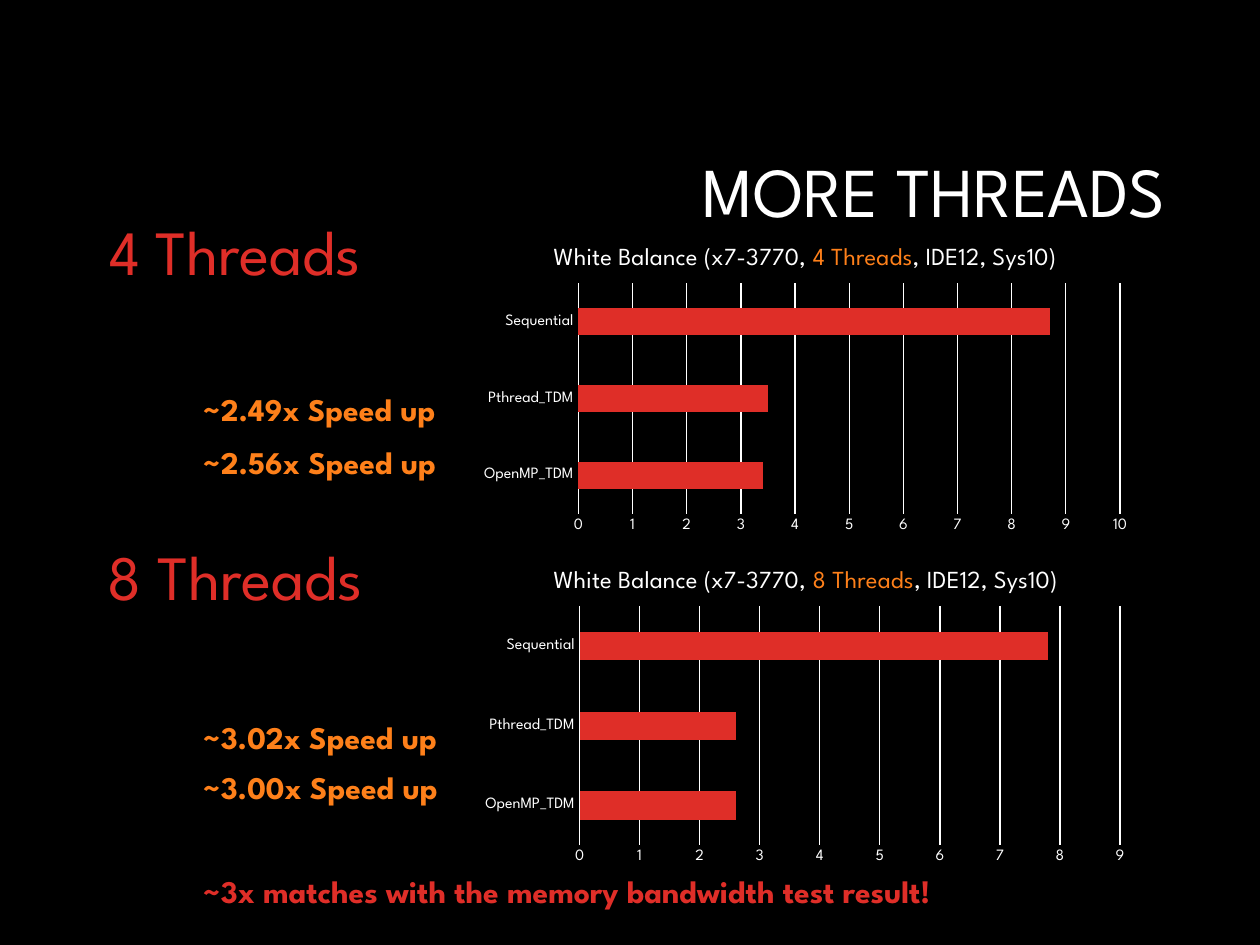
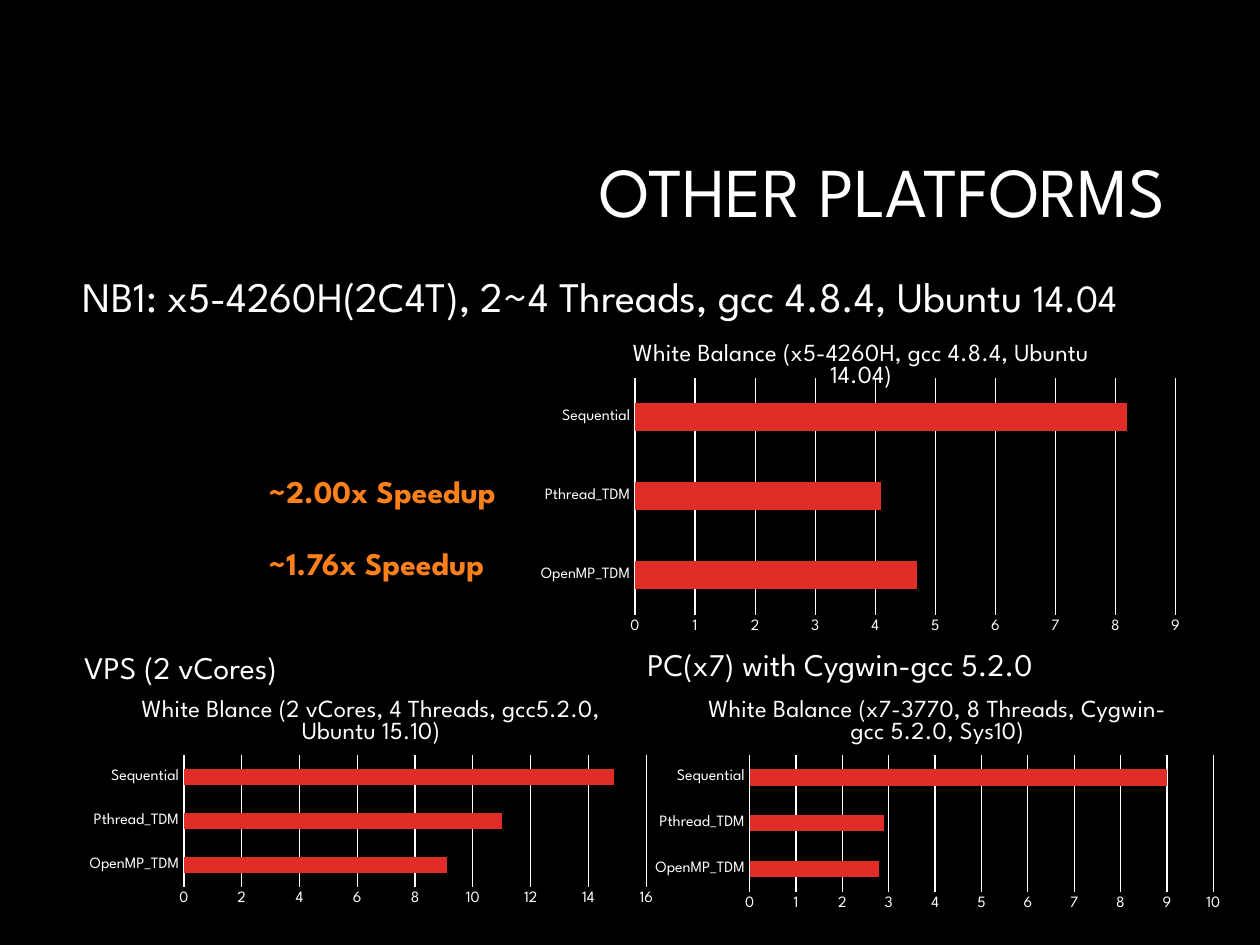
from lxml import etree
from pptx import Presentation
from pptx.chart.data import CategoryChartData
from pptx.dml.color import RGBColor
from pptx.enum.chart import XL_CHART_TYPE as ChartType, XL_TICK_MARK as TickMark
from pptx.enum.text import MSO_ANCHOR as Anchor, PP_ALIGN as Align
from pptx.oxml.ns import qn
from pptx.util import Inches, Pt

FONT = "League Spartan"
BLACK, WHITE, RED, ORANGE = "000000", "FFFFFF", "DF2E28", "FE801A"
CATEGORIES = ["OpenMP_TDM", "Pthread_TDM", "Sequential"]
HEADING = {"size": 36, "color": RED}
SPEEDUP = {"size": 18, "color": ORANGE, "bold": True}
CONCLUSION = {**SPEEDUP, "color": RED}
PLATFORM = {"size": 18}
CHART_TITLE = {"size": 14}


def rgb(color):
    return RGBColor.from_string(color)


def style_font(font, size, color=WHITE, bold=False):
    for name, value in {"name": FONT, "size": Pt(size), "bold": bold}.items():
        setattr(font, name, value)
    font.color.rgb = rgb(color)


def add_runs(paragraph, runs):
    """Append (text, font format) pairs to a paragraph."""
    for text, font_format in runs:
        run = paragraph.add_run()
        run.text = text
        style_font(run.font, **font_format)


def add_titled_slide(presentation, title):
    slide = presentation.slides.add_slide(presentation.slide_layouts[5])
    shape = slide.shapes.title
    box = {"left": 2.38, "top": 0.84, "width": 6.97, "height": 1.41}
    for name, value in box.items():
        setattr(shape, name, Inches(value))
    shape.text_frame.vertical_anchor = Anchor.MIDDLE
    paragraph = shape.text_frame.paragraphs[0]
    paragraph.alignment = Align.RIGHT
    paragraph.line_spacing = 0.9
    add_runs(paragraph, [(title, {"size": 40})])
    return slide


def add_label(slide, box, runs, alignment=Align.LEFT):
    shape = slide.shapes.add_textbox(*map(Inches, box))
    shape.text_frame.word_wrap = False
    paragraph = shape.text_frame.paragraphs[0]
    paragraph.alignment = alignment
    add_runs(paragraph, runs)


def fix_plot_area(chart, width, height, top):
    """Keep the same margins, in inches, around the bars of every chart."""
    left, right, bottom = 0.85, 0.15, 0.21
    plot_area = chart.element.find(".//" + qn("c:plotArea"))
    layout = plot_area.find(qn("c:layout"))
    if layout is None:
        layout = etree.Element(qn("c:layout"))
        plot_area.insert(0, layout)
    manual = etree.SubElement(layout, qn("c:manualLayout"))
    settings = {
        "layoutTarget": "inner", "xMode": "edge", "yMode": "edge",
        "x": left / width, "y": top / height,
        "w": (width - left - right) / width,
        "h": (height - top - bottom) / height,
    }
    for name, value in settings.items():
        etree.SubElement(manual, qn("c:" + name)).set("val", str(value))


def add_timing_chart(slide, box, title_runs, values, maximum, unit=1, plot_top=0.43):
    data = CategoryChartData(number_format="General")
    data.categories = CATEGORIES
    data.add_series("Series 1", values)
    frame = slide.shapes.add_chart(ChartType.BAR_CLUSTERED, *map(Inches, box), data)
    chart = frame.chart
    style_font(chart.font, 10)
    chart.has_legend = False
    chart.has_title = True
    chart.chart_title.include_in_layout = False
    add_runs(chart.chart_title.text_frame.paragraphs[0], title_runs)

    plot = chart.plots[0]
    plot.gap_width = 182
    plot.vary_by_categories = False
    fill = plot.series[0].format.fill
    fill.solid()
    fill.fore_color.rgb = rgb(RED)

    category_axis, value_axis = chart.category_axis, chart.value_axis
    for axis in (category_axis, value_axis):
        axis.major_tick_mark = axis.minor_tick_mark = TickMark.NONE
        style_font(axis.tick_labels.font, 9)
    scale = {"minimum_scale": 0, "maximum_scale": maximum, "major_unit": unit,
             "has_major_gridlines": True}
    for name, value in scale.items():
        setattr(value_axis, name, value)
    value_axis.format.line.fill.background()
    for line in (category_axis.format.line, value_axis.major_gridlines.format.line):
        line.color.rgb = rgb(WHITE)
        line.width = Pt(0.75)
    fix_plot_area(chart, box[2], box[3], plot_top)


def add_more_threads(presentation):
    slide = add_titled_slide(presentation, "MORE THREADS")
    tests = [
        ("4 Threads", 1.64, (3.74, 1.82, 5.3, 2.47), [3.4, 3.5, 8.7], 10,
         [("~2.49x", 3.05), ("~2.56x", 3.47)]),
        ("8 Threads", 4.22, (3.75, 4.38, 5.29, 2.54), [2.6, 2.6, 7.8], 9,
         [("~3.02x", 5.65), ("~3.00x", 6.05)]),
    ]
    for threads, top, chart_box, values, maximum, speedups in tests:
        add_label(slide, (0.61, top, 2.51, 0.71), [(threads, HEADING)], Align.CENTER)
        title_runs = [("White Balance (x7-3770, ", CHART_TITLE),
                      (threads, {**CHART_TITLE, "color": ORANGE}),
                      (", IDE12, Sys10)", CHART_TITLE)]
        add_timing_chart(slide, chart_box, title_runs, values, maximum)
        for factor, speedup_top in speedups:
            add_label(slide, (1.51, speedup_top, 2.24, 0.4),
                      [(factor + " Speed up", SPEEDUP)])
    add_label(slide, (1.51, 6.87, 6.58, 0.4),
              [("~3x matches with the memory bandwidth test result!", CONCLUSION)])


def add_other_platforms(presentation):
    slide = add_titled_slide(presentation, "OTHER PLATFORMS")
    add_label(slide, (0.56, 2.1, 9.42, 0.5), [
        ("NB1: x5-4260H(2C4T), 2~4 Threads, gcc 4.8.4, Ubuntu ", {"size": 24}),
        ("14.04", {"size": 22})])
    add_timing_chart(
        slide, (4.19, 2.57, 5.29, 2.52),
        [("White Balance (x5-4260H, gcc 4.8.4, Ubuntu 14.04)", CHART_TITLE)],
        [4.7, 4.1, 8.2], 9)
    for factor, top in [("~2.00x", 3.7), ("~1.76x", 4.27)]:
        add_label(slide, (2.03, top, 2.16, 0.4), [(factor + " Speedup", SPEEDUP)])

    platforms = [
        ("VPS (2 vCores)", (0.57, 5.09, 1.97, 0.4), (0.61, 5.41, 4.67, 1.84),
         "White Blance (2 vCores, 4 Threads, gcc5.2.0, Ubuntu 15.10)",
         [9.1, 11, 14.9], 16, 2),
        ("PC(x7) with Cygwin-gcc 5.2.0", (5.04, 5.07, 3.78, 0.4),
         (5.1, 5.41, 4.68, 1.88),
         "White Balance (x7-3770, 8 Threads, Cygwin-gcc 5.2.0, Sys10)",
         [2.8, 2.9, 9], 10, 1),
    ]
    for name, label_box, chart_box, title, values, maximum, unit in platforms:
        add_timing_chart(slide, chart_box, [(title, CHART_TITLE)], values,
                         maximum, unit, plot_top=0.58)
        add_label(slide, label_box, [(name, PLATFORM)])


def main():
    presentation = Presentation()
    presentation.slide_width, presentation.slide_height = Inches(10), Inches(7.5)
    background = presentation.slide_master.background.fill
    background.solid()
    background.fore_color.rgb = rgb(BLACK)
    add_more_threads(presentation)
    add_other_platforms(presentation)
    presentation.save("out.pptx")


if __name__ == "__main__":
    main()
